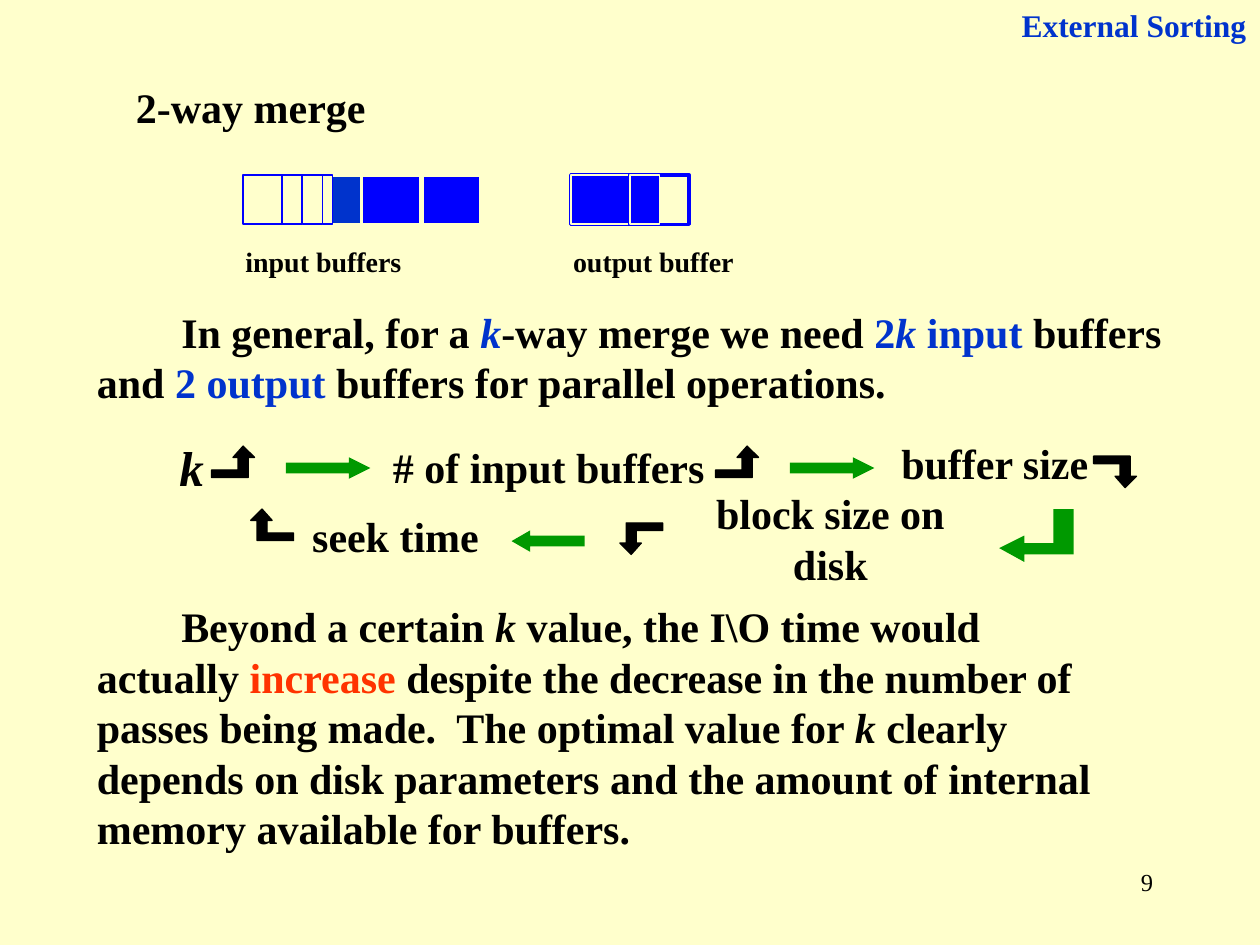
from pptx import Presentation
from pptx.dml.color import RGBColor
from pptx.enum.shapes import MSO_SHAPE
from pptx.enum.text import MSO_ANCHOR, PP_ALIGN
from pptx.util import Inches, Pt

RECTANGLE = MSO_SHAPE.RECTANGLE
RIGHT_ARROW, LEFT_ARROW = MSO_SHAPE.RIGHT_ARROW, MSO_SHAPE.LEFT_ARROW
LEFT, CENTER, RIGHT = PP_ALIGN.LEFT, PP_ALIGN.CENTER, PP_ALIGN.RIGHT
TOP, MIDDLE = MSO_ANCHOR.TOP, MSO_ANCHOR.MIDDLE

FONT = "Times New Roman"
COLORS = {
    "cream": "FFFFCC",
    "black": "000000",
    "royal": "0033CC",
    "blue": "0000FF",
    "green": "009900",
    "red": "FF3300",
}

# Buffer cells: full width, top and height
CELL, CELL_TOP, CELL_HEIGHT = 0.47, 1.39, 0.39
INPUT_LEFT, OUTPUT_LEFT = 1.93, 4.53

# Bent arrow that runs right and then up, from its own top left corner
BENT_SIZE = (0.34, 0.25)
BENT_OUTLINE = [(0.25, 0), (0.17, 0.09), (0.21, 0.09), (0.21, 0.19), (0, 0.19),
                (0, 0.25), (0.29, 0.25), (0.29, 0.09), (0.34, 0.09)]
# Larger arrow that runs down and then left
RETURN_OUTLINE = [(0, 0.31), (0.2, 0.21), (0.2, 0.27), (0.43, 0.27), (0.43, 0),
                  (0.59, 0), (0.59, 0.36), (0.2, 0.36), (0.2, 0.42)]


def color(name):
    return RGBColor.from_string(COLORS[name])


def paint(shape, fill=None, line=None, width=1):
    shape.shadow.inherit = False
    if fill:
        shape.fill.solid()
        shape.fill.fore_color.rgb = color(fill)
    else:
        shape.fill.background()
    if line:
        shape.line.color.rgb = color(line)
        shape.line.width = Pt(width)
    else:
        shape.line.fill.background()


def add_text(slide, box, runs, size=24, align=LEFT, anchor=TOP, wrap=True,
             bold=True, indent=0):
    """Add one paragraph; each run is (text, color name, italic)."""
    text_frame = slide.shapes.add_textbox(*map(Inches, box)).text_frame
    text_frame.word_wrap = wrap
    text_frame.vertical_anchor = anchor
    paragraph = text_frame.paragraphs[0]
    paragraph.alignment = align
    if indent:
        paragraph._p.get_or_add_pPr().set("indent", str(Inches(indent)))
    for text, color_name, italic in runs:
        run = paragraph.add_run()
        run.text = text
        run.font.name = FONT
        run.font.size = Pt(size)
        run.font.bold = bold
        run.font.italic = italic
        run.font.color.rgb = color(color_name)


def add_label(slide, box, text, size=24, italic=False):
    add_text(slide, box, [(text, "black", italic)], size, CENTER, MIDDLE, wrap=False)


def add_cell(slide, left, width, fill, line, line_width):
    shape = slide.shapes.add_shape(RECTANGLE, Inches(left), Inches(CELL_TOP),
                                   Inches(width), Inches(CELL_HEIGHT))
    paint(shape, fill, line, line_width)


def add_block_arrow(slide, kind, left, top, width, head):
    shape = slide.shapes.add_shape(kind, Inches(left), Inches(top),
                                   Inches(width), Inches(0.17))
    shape.adjustments[1] = head
    paint(shape, "green")


def add_outline(slide, left, top, outline, fill, line=None):
    points = [(Inches(left + x), Inches(top + y)) for x, y in outline]
    builder = slide.shapes.build_freeform(*points[0])
    builder.add_line_segments(points[1:], close=True)
    paint(builder.convert_to_shape(), fill, line, 0.75)


def add_bent_arrow(slide, left, top, flip_x=False, flip_y=False):
    width, height = BENT_SIZE
    outline = [(width - x if flip_x else x, height - y if flip_y else y)
               for x, y in BENT_OUTLINE]
    add_outline(slide, left, top, outline, "black", "black")


def add_buffers(slide):
    second_input = INPUT_LEFT + CELL
    second_output = OUTPUT_LEFT + CELL
    cells = [
        # Input runs, then the part of them already read
        (INPUT_LEFT, CELL, "royal", "cream", 2),
        (second_input, CELL, "royal", "cream", 2),
        (OUTPUT_LEFT, CELL, None, "blue", 2),
        (INPUT_LEFT, 0.31, "cream", "blue", 1),
        (OUTPUT_LEFT, CELL, "blue", "cream", 1),
        (second_input, 0.16, "cream", "blue", 1),
        # Second output buffer, half filled
        (second_output, CELL, "cream", "blue", 2),
        (INPUT_LEFT + 0.31, 0.16, "cream", "blue", 1),
        (second_input + 0.16, 0.08, "cream", "blue", 1),
        (second_output, CELL / 2, "blue", "cream", 1),
        # Input buffers being filled
        (INPUT_LEFT + 2 * CELL, CELL, "blue", "cream", 2),
        (INPUT_LEFT + 3 * CELL + 0.01, CELL, "blue", "cream", 2),
    ]
    for cell in cells:
        add_cell(slide, *cell)
    for left, text in ((1.85, "input buffers"), (4.45, "output buffer")):
        add_text(slide, (left, 1.89, 1.6, 0.37), [(text, "black", False)], 16)


def add_consequences(slide):
    # Upper row, read left to right
    add_label(slide, (1.27, 3.46, 0.5, 0.5), "k", 28, italic=True)
    add_label(slide, (3.02, 3.54, 2.67, 0.33), "# of input buffers")
    add_label(slide, (7.02, 3.46, 1.75, 0.42), "buffer size")
    for left in (1.68, 5.68):
        add_bent_arrow(slide, left, 3.54)
        add_block_arrow(slide, RIGHT_ARROW, left + 0.59, 3.63, 0.67, 1)
    add_bent_arrow(slide, 8.68, 3.62, flip_y=True)

    # Lower row, read right to left
    add_outline(slide, 7.93, 4.04, RETURN_OUTLINE, "green")
    add_label(slide, (5.34, 4.06, 2.5, 0.42), "block size on disk")
    add_bent_arrow(slide, 4.92, 4.15, flip_x=True, flip_y=True)
    add_block_arrow(slide, LEFT_ARROW, 4.06, 4.21, 0.58, 0.87)
    add_label(slide, (2.01, 4.04, 2.26, 0.42), "seek time")
    add_bent_arrow(slide, 1.99, 4.04, flip_x=True)


def main():
    presentation = Presentation()
    presentation.slide_width, presentation.slide_height = Inches(10), Inches(7.5)
    slide = presentation.slides.add_slide(presentation.slide_layouts[6])
    slide.background.fill.solid()
    slide.background.fill.fore_color.rgb = color("cream")

    # Header, heading and page number
    add_text(slide, (7.6, 0, 2.39, 0.4), [("External Sorting", "royal", False)],
             18, RIGHT)
    add_text(slide, (0.98, 0.6, 2.44, 0.5), [("2-way merge", "black", False)])
    add_text(slide, (7.17, 6.83, 2.08, 0.5), [("9", "black", False)], 14, RIGHT,
             bold=False)

    add_buffers(slide)

    # General rule
    add_text(slide, (0.67, 2.38, 8.75, 0.9), [
        ("In general, for a ", "black", False),
        ("k", "royal", True),
        ("-way merge we need ", "black", False),
        ("2", "royal", False),
        ("k", "royal", True),
        (" input", "royal", False),
        (" buffers and ", "black", False),
        ("2 output", "royal", False),
        (" buffers for parallel operations.", "black", False),
    ], indent=0.67)

    add_consequences(slide)

    # Conclusion
    add_text(slide, (0.67, 4.72, 8.35, 2.1), [
        ("Beyond a certain ", "black", False),
        ("k", "black", True),
        (" value, the I\\O time would actually ", "black", False),
        ("increase", "red", False),
        (" despite the decrease in the number of passes being made.  "
         "The optimal value for ", "black", False),
        ("k", "black", True),
        (" clearly depends on disk parameters and the amount of internal "
         "memory available for buffers.", "black", False),
    ], indent=0.67)

    presentation.save("out.pptx")


if __name__ == "__main__":
    main()
